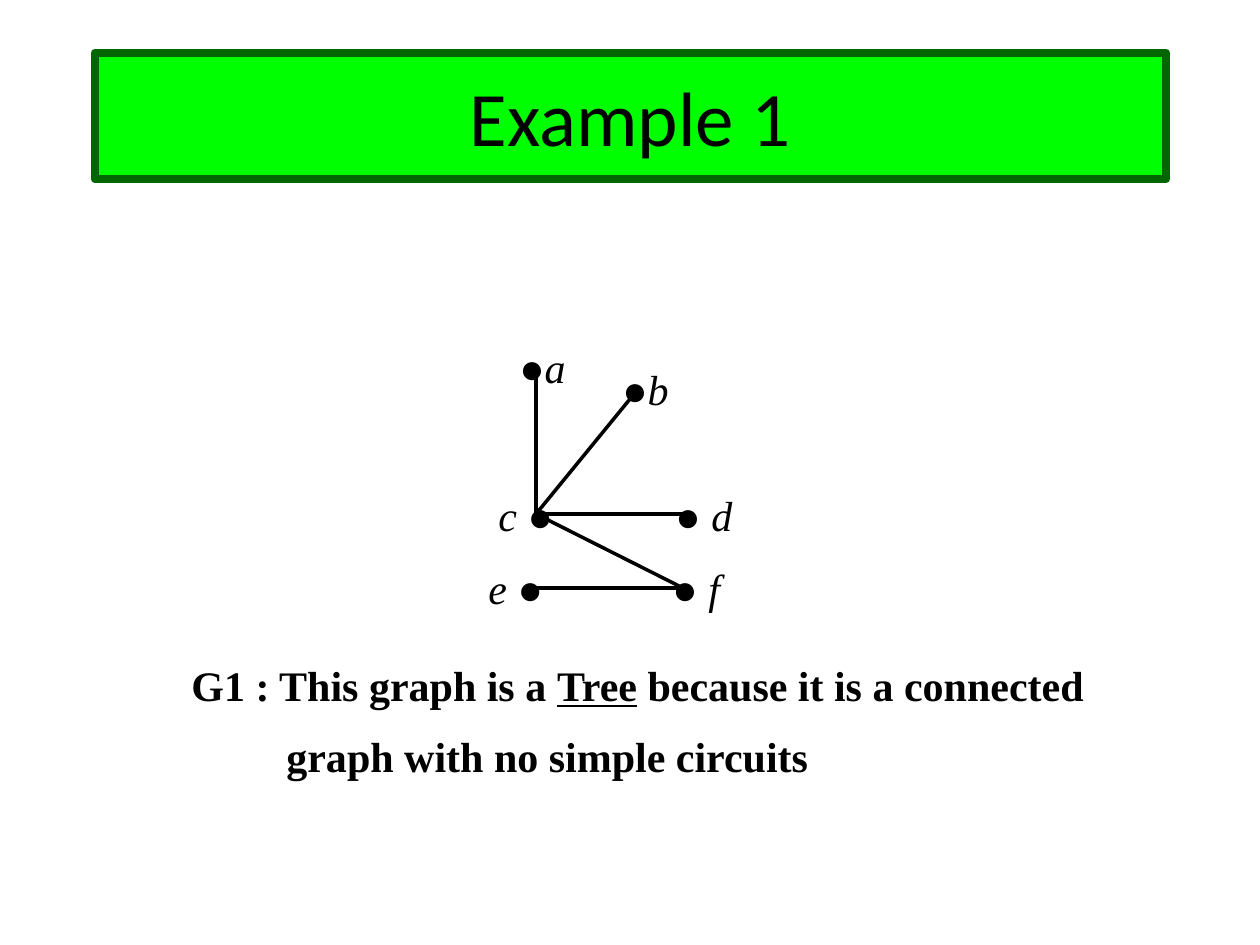
from pptx import Presentation
from pptx.dml.color import RGBColor
from pptx.enum.shapes import MSO_CONNECTOR, MSO_SHAPE
from pptx.enum.text import MSO_ANCHOR, MSO_AUTO_SIZE, PP_ALIGN
from pptx.oxml import parse_xml
from pptx.oxml.ns import nsdecls
from pptx.util import Emu, Pt

COLORS = {"ink": "000000", "banner": "00FF00", "border": "006600"}
SERIF = "Times New Roman"


def px(length):
    return Emu(round(length * 914400 / 126))


def set_font(paragraph, name, size):
    paragraph.font.name = name
    paragraph.font.size = Pt(size)
    paragraph.font.color.rgb = RGBColor.from_string(COLORS["ink"])


deck = Presentation()
deck.slide_width, deck.slide_height = px(1260), px(945)
page = deck.slides.add_slide(deck.slide_layouts[6])

banner = page.shapes.add_shape(MSO_SHAPE.RECTANGLE, px(95), px(53), px(1071), px(126))
banner.shadow.inherit = False
banner.fill.solid()
banner.fill.fore_color.rgb = RGBColor.from_string(COLORS["banner"])
banner.line.color.rgb = RGBColor.from_string(COLORS["border"])
banner.line.width = Pt(5)
banner.line._get_or_add_ln().append(parse_xml(f"<a:round {nsdecls('a')}/>"))
banner.text_frame.vertical_anchor = MSO_ANCHOR.MIDDLE
title = banner.text_frame.paragraphs[0]
title.text = "Example 1"
title.alignment = PP_ALIGN.CENTER
set_font(title, "Calibri", 44)

points = {
    "a": (536, 378), "b": (630, 399), "c": (536, 514),
    "d": (683, 514), "e": (536, 588), "f": (683, 588),
}
for start, end in ["ca", "cb", "cd", "cf", "fe"]:
    edge = page.shapes.add_connector(
        MSO_CONNECTOR.STRAIGHT, *map(px, points[start] + points[end]))
    edge.line.color.rgb = RGBColor.from_string(COLORS["ink"])
    edge.line.width = Pt(2)
    edge._element.spPr.append(parse_xml(f"<a:effectLst {nsdecls('a')}/>"))

vertices = [
    (["e", " ●"], 476, 556, 83),
    (["c", " ●"], 486, 483, 83),
    (["● ", "f"], 660, 556, 79),
    (["●", "b"], 610, 357, 75),
    (["●", "a"], 507, 335, 75),
    (["● ", "d"], 663, 483, 84),
]
for parts, left, top, width in vertices:
    box = page.shapes.add_textbox(px(left), px(top), px(width), px(63))
    box.text_frame.word_wrap = False
    box.text_frame.auto_size = MSO_AUTO_SIZE.SHAPE_TO_FIT_TEXT
    label = box.text_frame.paragraphs[0]
    set_font(label, SERIF, 24)
    for part in parts:
        span = label.add_run()
        span.text = part
        span.font.italic = part in points

box = page.shapes.add_textbox(px(179), px(653), px(924), px(140))
box.text_frame.word_wrap = True
box.text_frame.auto_size = MSO_AUTO_SIZE.SHAPE_TO_FIT_TEXT
statement = box.text_frame.paragraphs[0]
for part in ["G1 : This graph is a ", "Tree", " because it is a connected"]:
    span = statement.add_run()
    span.text = part
    if part == "Tree":
        span.font.underline = True
reason = box.text_frame.add_paragraph()
reason.text = "graph with no simple circuits"
reason.space_before = Pt(12)
reason._p.get_or_add_pPr().set("marL", str(px(95)))
for para in box.text_frame.paragraphs:
    para.alignment = PP_ALIGN.JUSTIFY
    set_font(para, SERIF, 24)
    para.font.bold = True

deck.save("out.pptx")
